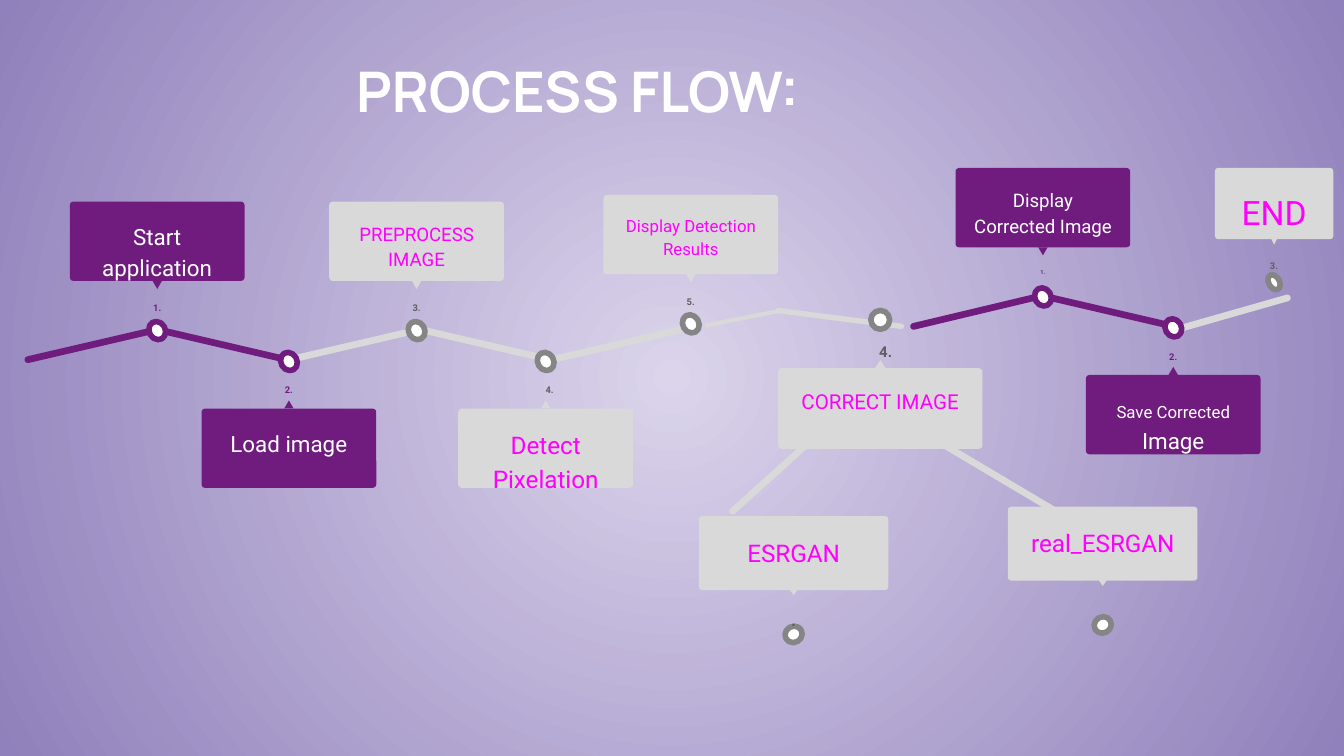
from lxml import etree
from pptx import Presentation
from pptx import util as u
from pptx.dml.color import RGBColor
from pptx.enum import shapes, text
from pptx.oxml.ns import qn

PX = 9144  # one px is a hundredth of an inch
WHITE, PLUM, PALE = "FFFFFF", "701C7F", "D9D9D9"
GREY, DARK, PINK = "858585", "5E5E5E", "FF00FF"
KIND = shapes.MSO_SHAPE

# Tone: card, dot ring, number, caption
TONES = {"plum": (PLUM, PLUM, PLUM, WHITE), "pale": (PALE, GREY, DARK, PINK)}

# Form: card w, h, then pointer, number and dot as (drop from card top, w, h)
FORMS = {
    "up": (130, 59, (59, 7, 6), (64, 53, 23), (89, 12, 14)),
    "down": (130, 59, (-6, 7, 6), (-29, 53, 23), (-42, 12, 14)),
    "wide": (152, 60, (-6, 8, 6), (-31, 62, 24), (-43, 14, 14)),
    "leaf": (141, 55, (54, 7, 5), (59, 57, 21), (82, 13, 12)),
    "end": (88, 53, (52, 5, 5), (57, 36, 21), (79, 8, 12)),
}

# Step: form, tone, card x, y, number, number size, caption runs, number shift
STEPS = [
    ("down", "plum", 150, 304, "2.", 5, [("Load image", 12)], 0),
    ("up", "plum", 52, 150, "1.", 5, [("Start application", 12)], 0),
    ("down", "pale", 341, 304, "4.", 5, [("Detect Pixelation", 13)], 3),
    ("up", "pale", 245, 150, "3.", 5, [("PREPROCESS IMAGE", 10)], 0),
    ("up", "pale", 449, 145, "5.", 5, [("Display Detection Results", 9)], 0),
    ("wide", "pale", 579, 274, "4.", 8, [("CORRECT IMAGE", 11)], 4),
    ("leaf", "pale", 520, 384, ".", 8, [("ESRGAN", 13)], 0),
    ("leaf", "pale", 750, 377, "", 8, [("real_ESRGAN", 13)], 0),
    ("down", "plum", 808, 279, "2.", 5,
     [("Save Corrected", 9), (" Image", 12)], 0),
    ("up", "plum", 711, 125, "1.", 3, [("Display Corrected Image", 10)], 0),
    ("end", "pale", 904, 125, "3.", 5, [("END", 18)], 0),
]

# Bar: x, y, length, thickness, turn, colour
BARS = [
    (310, 254, 103, 5, 13.1, PALE),
    (212, 254, 103, 5, -13.1, PALE),
    (114, 254, 103, 5, 13.1, PLUM),
    (17, 254, 103, 5, -13.1, PLUM),
    (407, 254, 103, 5, -13.1, PALE),
    (577, 235, 96, 4, 7.3, PALE),
    (524, 235, 60, 3, -11.1, PALE),
    (530, 345, 103, 5, -42, PALE),
    (692, 353, 103, 5, 30.7, PALE),
    (871, 231, 91, 5, -15.9, PALE),
    (773, 229, 103, 5, 13.1, PLUM),
    (676, 229, 103, 5, -13.4, PLUM),
]


def emu(*vals):
    return [u.Emu(round(v * PX)) for v in vals]


def hue(code):
    return RGBColor.from_string(code)


def form(into, kind, box, fill, turn=0, ring=None, curve=None):
    """Add a filled preset shape, outlined only when a ring colour is given."""
    shape = into.add_shape(kind, *emu(*box))
    shape.shadow.inherit = False
    shape.rotation = turn
    shape.fill.solid()
    shape.fill.fore_color.rgb = hue(fill)
    if ring:
        shape.line.color.rgb = hue(ring)
        shape.line.width = u.Pt(3)
    else:
        shape.line.fill.background()
    if curve is not None:
        shape.adjustments[0] = curve


def frame(shape):
    """Give a text shape even margins, wrapping and a top anchor."""
    tf = shape.text_frame
    tf.word_wrap = True
    tf.auto_size = text.MSO_AUTO_SIZE.NONE
    tf.vertical_anchor = text.MSO_ANCHOR.TOP
    tf.margin_left = tf.margin_right = u.Inches(0.1)
    tf.margin_top = tf.margin_bottom = u.Inches(0.1)
    return tf


def style(run, size, face, code, bold=False):
    font = run.font
    font.size, font.name, font.bold = u.Pt(size), face, bold
    font.color.rgb = hue(code)


def label(into, box, runs, code, bold=False):
    """Add a centred text box made of (words, size) runs."""
    para = frame(into.add_textbox(*emu(*box))).paragraphs[0]
    para.alignment = text.PP_ALIGN.CENTER
    para.line_spacing = 1.15
    para.space_after = u.Pt(16)
    for words, size in runs:
        run = para.add_run()
        run.text = words
        style(run, size, "Roboto", code, bold)


def step(slide, name, tone, x, y, num, size, runs, shift):
    """Group a card with its pointer, dot, number and caption."""
    into = slide.shapes.add_group_shape().shapes
    card, ring, ink, words = TONES[tone]
    wide, high, tip, tag, dot = FORMS[name]
    mid = x + wide / 2

    def place(part, dx=0):
        drop, w, h = part
        return mid - w / 2 + dx, y + drop, w, h

    form(into, KIND.OVAL, place(dot), WHITE, 330.2, ring)
    form(into, KIND.ROUNDED_RECTANGLE, (x, y, wide, high), card, curve=0.045)
    form(into, KIND.ISOSCELES_TRIANGLE, place(tip), card,
         180 if tip[0] > 0 else 0)
    if num:
        label(into, place(tag, shift), [(num, size)], ink, True)
    label(into, (x + 3, y + 3, wide - 6, high - 6), runs, words)


def heading(slide, words, box):
    title = slide.shapes.title
    title.left, title.top, title.width, title.height = emu(*box)
    tf = frame(title)
    tf.text = words
    para = tf.paragraphs[0]
    para.alignment = text.PP_ALIGN.LEFT
    style(para.runs[0], 30, "Manrope", WHITE, True)


def backdrop(slide, inner, outer):
    """Fill the background with a circular gradient from the centre."""
    fill = slide.background.fill
    fill.gradient()
    for stop, code, at in zip(fill.gradient_stops, (inner, outer), (0, 1)):
        stop.color.rgb = hue(code)
        stop.position = at
    grad = slide.element.find(".//" + qn("a:gradFill"))
    lin = grad.find(qn("a:lin"))
    ray = etree.Element(qn("a:path"), {"path": "circle"})
    etree.SubElement(ray, qn("a:fillToRect"),
                     dict.fromkeys("ltrb", "50000"))
    grad.replace(lin, ray)


def main():
    deck = Presentation()
    deck.slide_width, deck.slide_height = emu(1000, 562.5)
    slide = deck.slides.add_slide(deck.slide_layouts[5])

    # Background and title
    backdrop(slide, "DBD4EB", "9080BB")
    heading(slide, "PROCESS FLOW:", (255, 32, 754, 93))

    # Path under the steps
    for *box, turn, code in BARS:
        form(slide.shapes, KIND.ROUNDED_RECTANGLE, box, code, turn, curve=0.5)

    # Steps
    for item in STEPS:
        step(slide, *item)

    deck.save("out.pptx")


if __name__ == "__main__":
    main()
